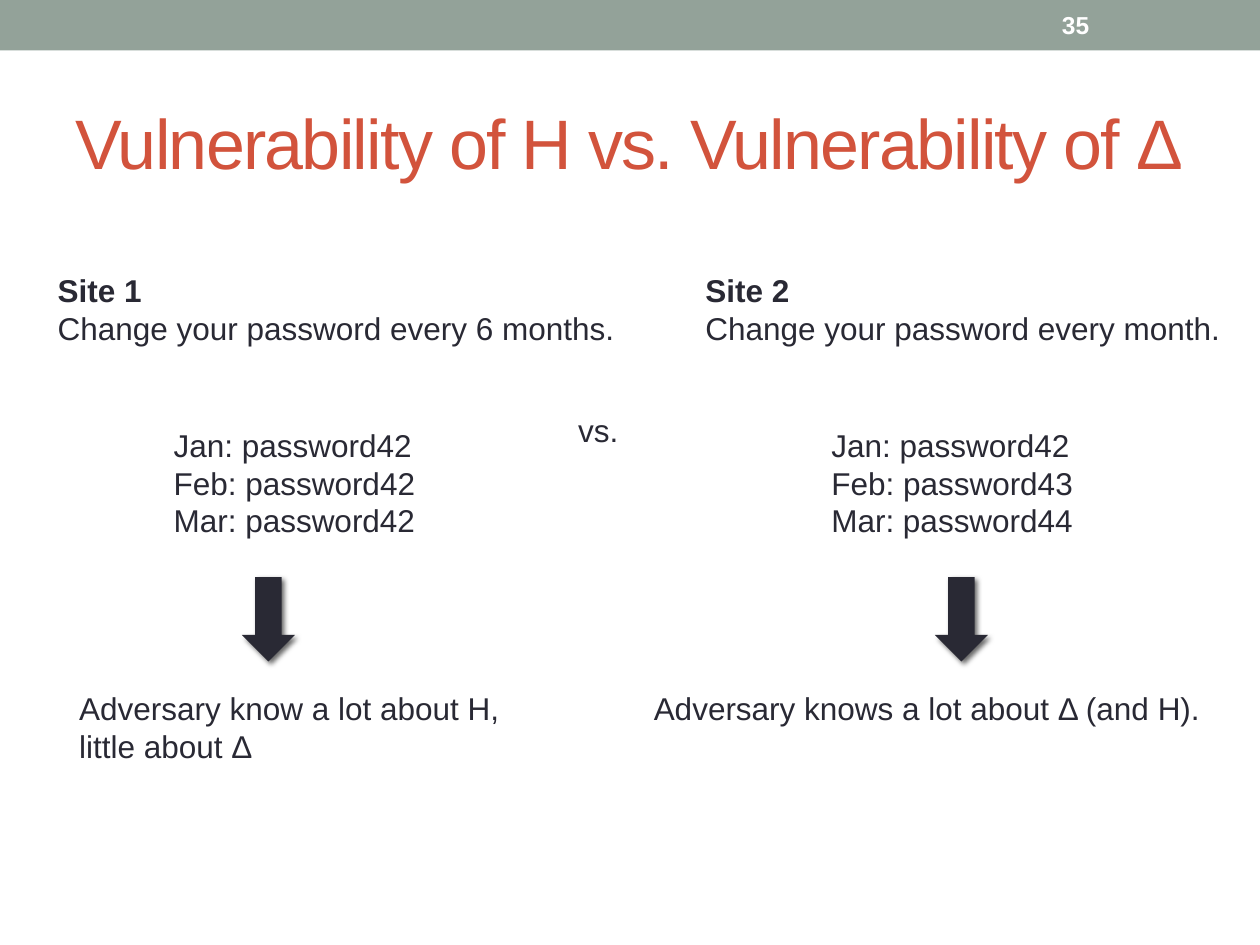
from dataclasses import dataclass

from lxml.etree import SubElement
from pptx import Presentation
from pptx.dml.color import RGBColor
from pptx.enum.shapes import MSO_SHAPE
from pptx.enum.text import MSO_ANCHOR, MSO_AUTO_SIZE, PP_ALIGN
from pptx.oxml.ns import qn
from pptx.slide import Slide
from pptx.text.text import TextFrame
from pptx.util import Inches, Pt


@dataclass(frozen=True)
class Theme:
    font: str = "Arial"
    band: RGBColor = RGBColor(0x93, 0xA2, 0x99)
    title: RGBColor = RGBColor(0xD2, 0x53, 0x3C)
    ink: RGBColor = RGBColor(0x29, 0x29, 0x34)
    white: RGBColor = RGBColor(0xFF, 0xFF, 0xFF)
    title_size: int = 40
    body_size: int = 18
    number_size: int = 14


@dataclass(frozen=True)
class Block:
    left: float
    width: float
    lines: tuple[str, ...]


@dataclass(frozen=True)
class Site:
    policy: Block
    passwords: Block
    arrow_left: float
    finding: Block


THEME = Theme()
POLICY_TOP, PASSWORDS_TOP, ARROW_TOP, FINDING_TOP = 2.1, 3.33, 4.58, 5.42
LINE_HEIGHT, PADDING = 0.3, 0.1

SITES = (
    Site(
        Block(0.36, 4.66, ("Site 1", "Change your password every 6 months.")),
        Block(1.28, 2.14, ("Jan: password42", "Feb: password42", "Mar: password42")),
        1.92,
        Block(0.53, 3.58, ("Adversary know a lot about H,", "little about Δ")),
    ),
    Site(
        Block(5.5, 4.33, ("Site 2", "Change your password every month.")),
        Block(6.5, 2.14, ("Jan: password42", "Feb: password43", "Mar: password44")),
        7.42,
        Block(5.09, 4.58, ("Adversary knows a lot about Δ (and H).",)),
    ),
)


def write_lines(frame: TextFrame, lines: tuple[str, ...], size: int,
                color: RGBColor, bold_first: bool = False) -> None:
    for index, line in enumerate(lines):
        paragraph = frame.paragraphs[0] if index == 0 else frame.add_paragraph()
        paragraph.alignment = PP_ALIGN.LEFT
        run = paragraph.add_run()
        run.text = line
        run.font.name = THEME.font
        run.font.size = Pt(size)
        run.font.color.rgb = color
        run.font.bold = bold_first and index == 0


def add_block(slide: Slide, block: Block, top: float, bold_first: bool = False) -> None:
    height = PADDING + LINE_HEIGHT * len(block.lines)
    box = slide.shapes.add_textbox(
        Inches(block.left), Inches(top), Inches(block.width), Inches(height))
    box.text_frame.word_wrap = False
    box.text_frame.auto_size = MSO_AUTO_SIZE.SHAPE_TO_FIT_TEXT
    write_lines(box.text_frame, block.lines, THEME.body_size, THEME.ink, bold_first)


def add_arrow(slide: Slide, left: float) -> None:
    arrow = slide.shapes.add_shape(
        MSO_SHAPE.DOWN_ARROW, Inches(left), Inches(ARROW_TOP), Inches(0.42), Inches(0.67))
    arrow.fill.solid()
    arrow.fill.fore_color.rgb = THEME.ink
    arrow.line.fill.background()
    # Soft shadow towards the lower right
    arrow.shadow.inherit = False
    effects = arrow.element.spPr.find(qn("a:effectLst"))
    shadow = SubElement(effects, qn("a:outerShdw"), blurRad=str(Pt(3)),
                        dist=str(Pt(2)), dir="2700000", rotWithShape="0")
    color = SubElement(shadow, qn("a:srgbClr"), val="000000")
    SubElement(color, qn("a:alpha"), val="60000")


def add_header(slide: Slide) -> None:
    # Band across the top
    band = slide.shapes.add_shape(MSO_SHAPE.RECTANGLE, 0, 0, Inches(10), Inches(0.4))
    band.shadow.inherit = False
    band.fill.solid()
    band.fill.fore_color.rgb = THEME.band
    band.line.fill.background()

    # Page number
    number = slide.shapes.add_textbox(Inches(8.33), Inches(0.02), Inches(1.17), Inches(0.36))
    number.text_frame.word_wrap = True
    number.text_frame.vertical_anchor = MSO_ANCHOR.MIDDLE
    write_lines(number.text_frame, ("35",), THEME.number_size, THEME.white, bold_first=True)

    # Title, with slightly tightened letters
    title = slide.shapes.title
    title.left, title.top = Inches(0.5), Inches(0.58)
    title.width, title.height = Inches(9), Inches(1.08)
    frame = title.text_frame
    frame.word_wrap = True
    frame.auto_size = MSO_AUTO_SIZE.NONE
    frame.vertical_anchor = MSO_ANCHOR.MIDDLE
    write_lines(frame, ("Vulnerability of H vs. Vulnerability of Δ",),
                THEME.title_size, THEME.title)
    frame.paragraphs[0].runs[0].font._element.set("spc", "-100")


def main() -> None:
    presentation = Presentation()
    presentation.slide_width, presentation.slide_height = Inches(10), Inches(7.5)
    slide = presentation.slides.add_slide(presentation.slide_layouts[5])

    add_header(slide)

    # One column per site
    for site in SITES:
        add_block(slide, site.policy, POLICY_TOP, bold_first=True)
        add_block(slide, site.passwords, PASSWORDS_TOP)
        add_arrow(slide, site.arrow_left)
        add_block(slide, site.finding, FINDING_TOP)

    # Divider between the two columns
    add_block(slide, Block(4.49, 0.54, ("vs.",)), 3.21)

    presentation.save("out.pptx")


if __name__ == "__main__":
    main()
